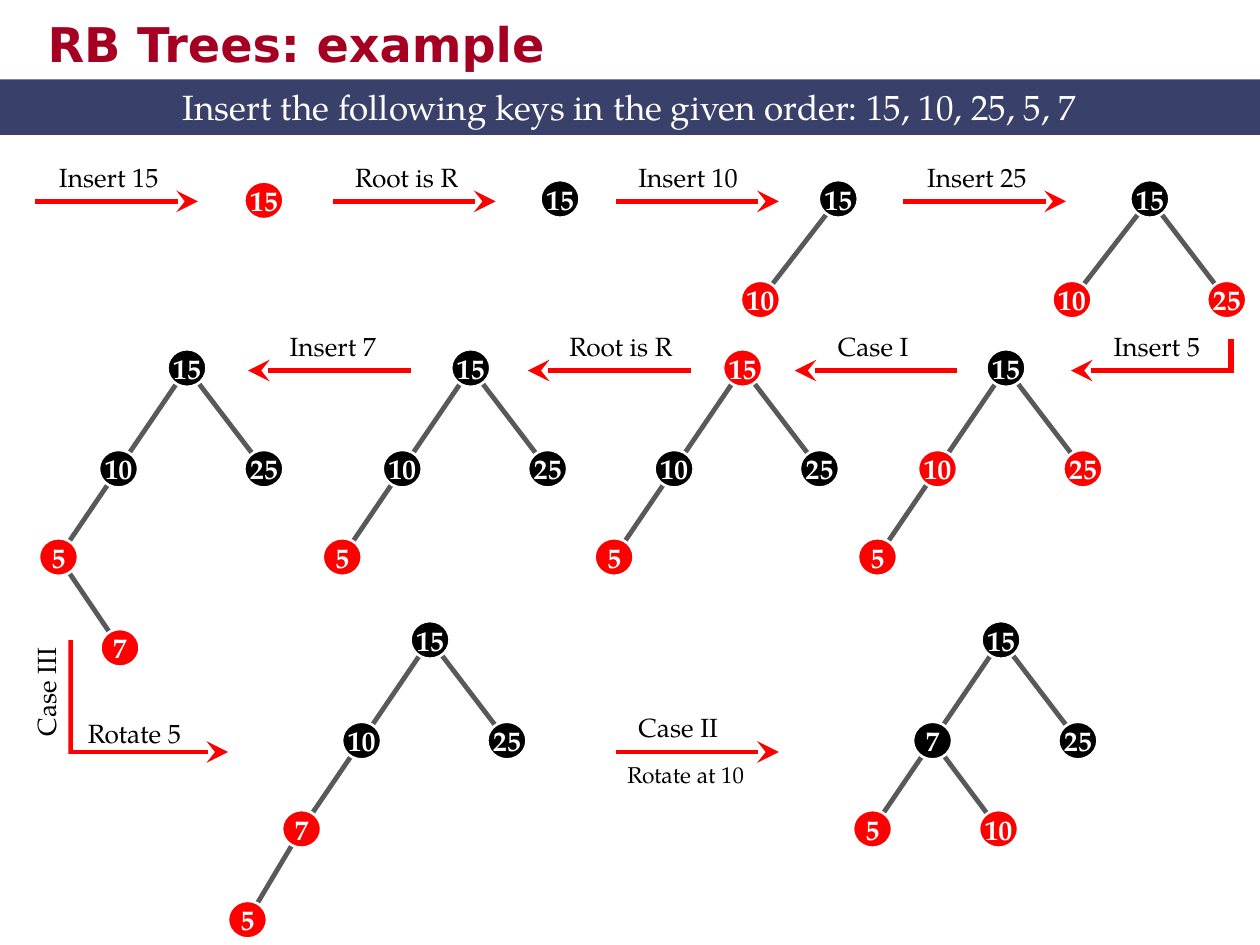
from dataclasses import dataclass

from lxml.etree import SubElement
from pptx import Presentation
from pptx.dml.color import RGBColor as Rgb
from pptx.enum.shapes import MSO_CONNECTOR as Link, MSO_SHAPE as Form
from pptx.enum.text import MSO_ANCHOR as Anchor, MSO_AUTO_SIZE as Fit, PP_ALIGN as Align
from pptx.oxml.ns import qn
from pptx.util import Cm, Pt


@dataclass(frozen=True)
class Theme:
    red: Rgb = Rgb(255, 0, 0)
    black: Rgb = Rgb(0, 0, 0)
    white: Rgb = Rgb(255, 255, 255)
    edge: Rgb = Rgb(0x59, 0x59, 0x59)
    band: Rgb = Rgb(0x39, 0x41, 0x6B)
    title: Rgb = Rgb(0xA5, 0x00, 0x21)
    title_font: str = "DejaVu Sans"
    body_font: str = "TeX Gyre Pagella"
    title_size: float = 27.3
    band_size: float = 20
    node_size: float = 16
    label_size: float = 15
    small_size: float = 13


theme = Theme()


def write(shape, text, size=theme.label_size, color=theme.black, font=theme.body_font,
          bold=False, align=Align.LEFT, anchor=Anchor.TOP, wrap=True, fit=Fit.SHAPE_TO_FIT_TEXT):
    frame = shape.text_frame
    frame.word_wrap = wrap
    frame.auto_size = fit
    frame.vertical_anchor = anchor
    para = frame.paragraphs[0]
    para.alignment = align
    span = para.add_run()
    span.text = text
    span.font.size = Pt(size)
    span.font.bold = bold
    span.font.color.rgb = color
    span.font.name = font
    return span


def draw_line(start, end, color, width, arrow=False):
    line = page.shapes.add_connector(Link.STRAIGHT, *map(Cm, start + end))
    line.line.color.rgb = color
    line.line.width = Pt(width)
    if arrow:
        SubElement(line.line._get_or_add_ln(), qn("a:tailEnd"), type="stealth", w="lg", len="lg")
    SubElement(line._element.spPr, qn("a:effectLst"))


deck = Presentation()
deck.slide_width, deck.slide_height = Cm(25.4), Cm(19.05)
page = deck.slides.add_slide(deck.slide_layouts[6])

title = page.shapes.add_textbox(Cm(0.71), Cm(0.03), Cm(21.59), Cm(1.7))
span = write(title, "RB Trees: example", size=theme.title_size, color=theme.title,
             font=theme.title_font, bold=True, anchor=Anchor.MIDDLE, fit=Fit.NONE)
effects = SubElement(span.font._element, qn("a:effectLst"))
shadow = SubElement(effects, qn("a:outerShdw"), dist="25400", dir="2700000")
SubElement(shadow, qn("a:srgbClr"), val="EEECE1")
span.font._element.find(qn("a:latin")).addprevious(effects)

for start, end in [((1.42, 12.9), (1.42, 15.11)), ((24.82, 6.83), (24.82, 7.47))]:
    draw_line(start, end, theme.red, 3.25)

arrow_length = 3.28
row_1, row_2, row_3 = 4.06, 7.47, 15.16
right, left = 1, -1
steps = [
    ("Insert 15", 0.71, row_1, right, 0.94, 3.12),
    ("Root is R", 6.71, row_1, right, 6.91, 3.12),
    ("Insert 10", 12.42, row_1, right, 12.62, 3.12),
    ("Insert 25", 18.21, row_1, right, 18.44, 3.12),
    ("Insert 5", 24.87, row_2, left, 22.2, 6.53),
    ("Case I", 19.3, row_2, left, 16.64, 6.53),
    ("Root is R", 13.92, row_2, left, 11.23, 6.53),
    ("Insert 7", 8.28, row_2, left, 5.59, 6.53),
    ("Rotate 5", 1.32, row_3, right, 1.52, 14.33),
    ("Case II", 12.42, row_3, right, 12.62, 14.22),
]
for label, x, y, direction, label_x, label_y in steps:
    draw_line((x, y), (x + direction * arrow_length, y), theme.red, 2.5, arrow=True)
    box = page.shapes.add_textbox(Cm(label_x), Cm(label_y), Cm(3.28), Cm(0.89))
    write(box, label)

node_width, node_height = 0.79, 0.76
offsets = {
    "root": (0, 0), "wide": (-1.57, 2.03), "L": (-1.38, 2.03), "R": (1.55, 2.03),
    "LL": (-2.59, 3.81), "LR": (-0.05, 3.81), "LLL": (-3.68, 5.64), "LLR": (-1.35, 5.64),
}
trees = [
    (5.32, 4.04, "root 15 red"),
    (11.29, 4.01, "root 15 black"),
    (16.9, 4.01, "root 15 black, wide 10 red"),
    (23.18, 4.01, "root 15 black, wide 10 red, R 25 red"),
    (20.28, 7.42, "root 15 black, L 10 red, R 25 red, LL 5 red"),
    (14.97, 7.42, "root 15 red, L 10 black, R 25 black, LL 5 red"),
    (9.49, 7.42, "root 15 black, L 10 black, R 25 black, LL 5 red"),
    (3.77, 7.42, "root 15 black, L 10 black, R 25 black, LL 5 red, LLR 7 red"),
    (8.67, 12.9, "root 15 black, L 10 black, R 25 black, LL 7 red, LLL 5 red"),
    (20.18, 12.9, "root 15 black, L 7 black, R 25 black, LL 5 red, LR 10 red"),
]
for root_x, root_y, listing in trees:
    nodes = [node.split() for node in listing.split(", ")]
    centers = {place: (root_x + offsets[place][0], root_y + offsets[place][1])
               for place, key, color in nodes}
    for place, center in centers.items():
        if place != "root":
            parent = centers.get(place[:-1], centers["root"])
            draw_line(center, parent, theme.edge, 2.75)
    for place, key, color in nodes:
        x, y = centers[place]
        circle = page.shapes.add_shape(Form.OVAL, Cm(x - node_width / 2), Cm(y - node_height / 2),
                                       Cm(node_width), Cm(node_height))
        circle.shadow.inherit = False
        circle.fill.solid()
        circle.fill.fore_color.rgb = theme.red if color == "red" else theme.black
        circle.line.color.rgb = theme.white
        circle.line.width = Pt(1.5)
        write(circle, key, size=theme.node_size, color=theme.white, bold=True,
              align=Align.CENTER, anchor=Anchor.MIDDLE, wrap=False, fit=Fit.NONE)

rotate_note = page.shapes.add_textbox(Cm(12.4), Cm(15.21), Cm(3.28), Cm(0.81))
write(rotate_note, "Rotate at 10", size=theme.small_size)

panels = [
    ("Case III", (-0.41, 13.51, 2.69, 0.89), 270, theme.white, theme.black, theme.label_size),
    ("Insert the following keys in the given order: 15, 10, 25, 5, 7",
     (0, 1.6, 25.4, 1.12), 0, theme.band, theme.white, theme.band_size),
]
for text, place, rotation, fill, color, size in panels:
    panel = page.shapes.add_shape(Form.RECTANGLE, *map(Cm, place))
    panel.rotation = rotation
    panel.shadow.inherit = False
    panel.fill.solid()
    panel.fill.fore_color.rgb = fill
    panel.line.fill.background()
    write(panel, text, size=size, color=color, align=Align.CENTER)

deck.save("out.pptx")
